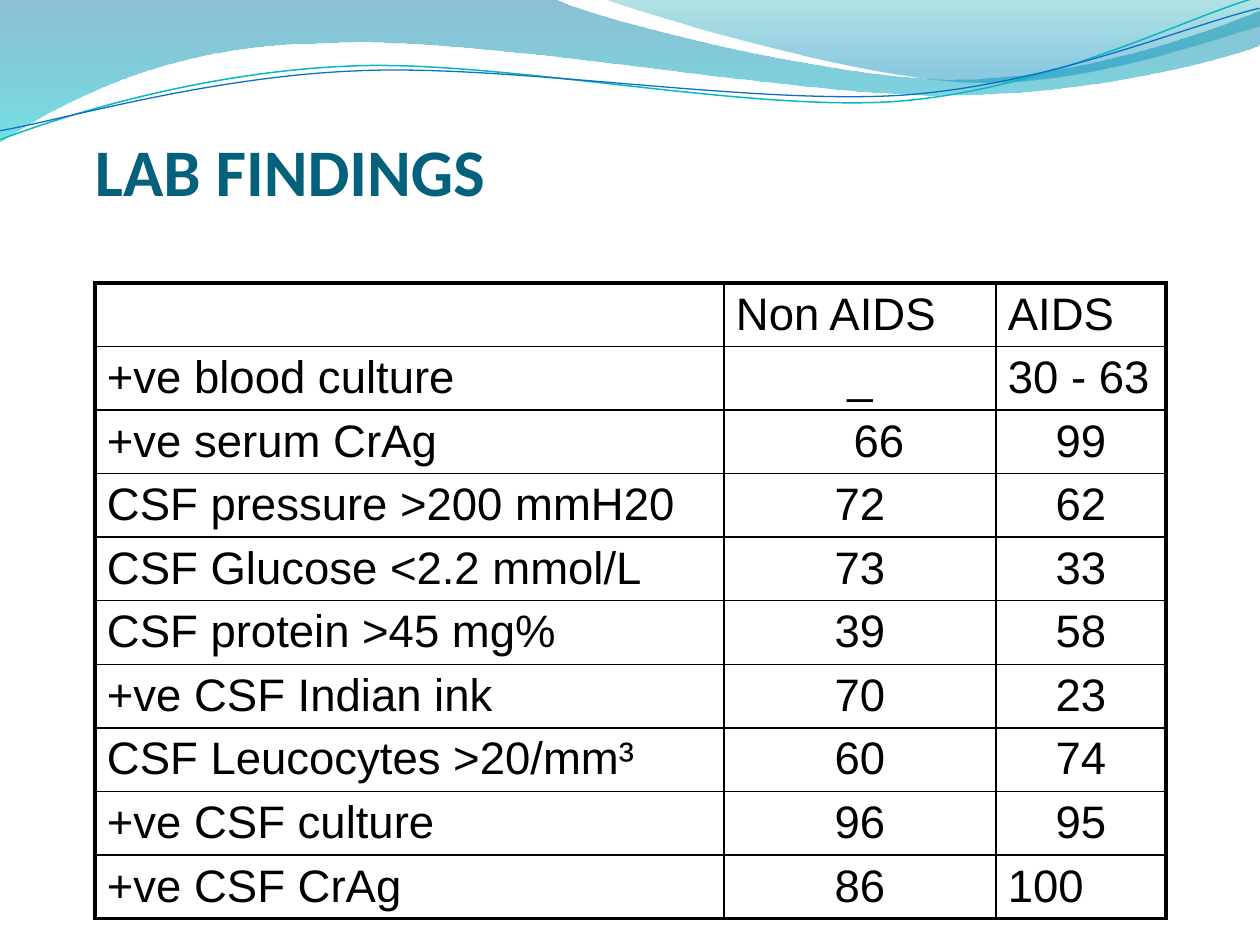
from math import cos, radians, sin

from lxml.etree import SubElement
from pptx import Presentation
from pptx.dml.color import RGBColor
from pptx.enum.text import MSO_ANCHOR, PP_ALIGN
from pptx.oxml.ns import qn
from pptx.util import Pt

PX = 7257  # EMU per pixel, 126 pixels to the inch

BLACK = RGBColor(0x00, 0x00, 0x00)
TITLE_TEAL = RGBColor(0x04, 0x61, 0x7B)
BLUE = RGBColor(0x00, 0x74, 0xA1)
CYAN = RGBColor(0x00, 0xC6, 0xCF)
GREEN = RGBColor(0x00, 0xA1, 0xA9)
SKY = RGBColor(0x00, 0x8B, 0xBF)
LINE_TEAL = RGBColor(0x0A, 0xB8, 0xBF)
LINE_BLUE = RGBColor(0x0F, 0x6F, 0xC6)

# Outlines: one point is a straight step, three points are a Bezier curve.
LONG_WAVE = [
    [(0, -1)], [(554, -1)],
    [(600, 21), (837, 79), (955, 79)], [(1075, 79), (1207, 33), (1260, 11)],
    [(1261, 45)],
    [(1239, 55), (1096, 96), (940, 95)], [(784, 95), (481, 35), (324, 43)],
    [(163, 44), (58, 105), (-1, 142)], [(0, -1)],
]
RIGHT_WAVE = [
    [(604, -1)],
    [(641, 14), (859, 78), (969, 82)], [(1079, 87), (1211, 40), (1260, 26)],
    [(1260, 0)], [(604, -1)],
]
TEAL_LINE = [
    [(0, 140)],
    [(60, 117), (199, 72), (349, 66)], [(498, 59), (747, 112), (898, 101)],
    [(1050, 89), (1182, 19), (1257, -3)],
]
BLUE_LINE = [
    [(0, 131)],
    [(59, 121), (207, 77), (357, 71)], [(508, 64), (752, 105), (903, 95)],
    [(1053, 84), (1185, 26), (1260, 8)],
]
LINE_TILT = -2.7
LINE_CENTER = (629, 73)

COLUMN_WIDTHS = (629, 272, 170)
ROW_HEIGHT = 56
TABLE_HEIGHT = 672
CELL_MARGIN = 12
VALUE_SHIFT = 38
FINDINGS = [
    ("", "Non AIDS", "AIDS"),
    ("+ve blood culture", "_", "30 - 63"),
    ("+ve serum CrAg", "66", "99"),
    ("CSF pressure >200 mmH20", "72", "62"),
    ("CSF Glucose <2.2 mmol/L", "73", "33"),
    ("CSF protein >45 mg%", "39", "58"),
    ("+ve CSF Indian ink", "70", "23"),
    ("CSF Leucocytes >20/mm³", "60", "74"),
    ("+ve CSF culture", "96", "95"),
    ("+ve CSF CrAg", "86", "100"),
]
LEFT_ALIGNED_VALUES = {"Non AIDS", "AIDS", "30 - 63", "100"}


def px(n):
    return n * PX


def turn(point, degrees):
    """Turn a point clockwise about the centre of the lines."""
    cx, cy = LINE_CENTER
    dx, dy = point[0] - cx, point[1] - cy
    a = radians(degrees)
    return cx + dx * cos(a) - dy * sin(a), cy + dx * sin(a) + dy * cos(a)


def add_outline(slide, steps):
    """Build a freeform, then join each three-point step into one Bezier curve."""
    points = [point for step in steps for point in step]
    builder = slide.shapes.build_freeform(*points[0], scale=PX)
    builder.add_line_segments(points[1:], close=steps[0] == steps[-1])
    s = builder.convert_to_shape()
    s.shadow.inherit = False
    segments = iter(s.element.xpath(".//a:path/a:lnTo"))
    for step in steps[1:]:
        parts = [next(segments) for _ in step]
        if len(parts) == 3:
            curve = parts[0].makeelement(qn("a:cubicBezTo"))
            parts[0].addprevious(curve)
            for part in parts:
                curve.append(part[0])
                part.getparent().remove(part)
    return s


def add_wave(slide, steps, stops):
    """Fill an outline from top to bottom; a stop is position, colour, opacity in %."""
    s = add_outline(slide, steps)
    s.line.fill.background()
    s.fill.gradient()
    s.fill.gradient_angle = 270
    for stop, (position, color, _) in zip(s.fill.gradient_stops, stops):
        stop.position = position
        stop.color.rgb = color
    for clr, (_, _, opacity) in zip(s.element.xpath(".//a:gs/a:srgbClr"), stops):
        SubElement(clr, qn("a:alpha"), val=str(opacity * 1000))


def add_tilted_line(slide, steps, color, width):
    level = [[turn(point, -LINE_TILT) for point in step] for step in steps]
    s = add_outline(slide, level)
    s.rotation = LINE_TILT
    s.fill.background()
    s.line.color.rgb = color
    s.line.width = Pt(width)


def style_run(r, font, size, color, bold=False):
    r.font.name = font
    r.font.size = Pt(size)
    r.font.color.rgb = color
    r.font.bold = bold


def add_title(slide, text):
    tf = slide.shapes.add_textbox(px(95), px(53), px(1071), px(157)).text_frame
    tf.word_wrap = True
    tf.vertical_anchor = MSO_ANCHOR.BOTTOM
    tf.margin_left = tf.margin_right = tf.margin_bottom = 0
    tf.text = text
    style_run(tf.paragraphs[0].runs[0], "Calibri", 38, TITLE_TEAL, True)


def set_borders(cell, widths):
    """Widths are points in the order left, right, top, bottom."""
    tcPr = cell._tc.get_or_add_tcPr()
    for side, width in zip("LRTB", widths):
        ln = SubElement(tcPr, qn(f"a:ln{side}"), w=str(Pt(width)))
        fill = SubElement(ln, qn("a:solidFill"))
        SubElement(fill, qn("a:srgbClr"), val=str(BLACK))


def fill_cell(cell, text, centred):
    cell.fill.background()
    cell.margin_left = cell.margin_right = px(CELL_MARGIN)
    cell.margin_top, cell.margin_bottom = px(6), px(3)
    cell.text = text
    p = cell.text_frame.paragraphs[0]
    p.alignment = PP_ALIGN.CENTER if centred else PP_ALIGN.LEFT
    p.font.size = Pt(26)
    for r in p.runs:
        style_run(r, "Arial", 26, BLACK)


def add_findings_table(slide):
    n_rows, n_cols = len(FINDINGS), len(COLUMN_WIDTHS)
    frame = slide.shapes.add_table(n_rows, n_cols, px(95), px(283),
                                   px(sum(COLUMN_WIDTHS)), px(TABLE_HEIGHT))
    table = frame.table
    table.first_row = table.horz_banding = False
    for column, width in zip(table.columns, COLUMN_WIDTHS):
        column.width = px(width)
    for i, values in enumerate(FINDINGS):
        table.rows[i].height = px(ROW_HEIGHT)
        for j, text in enumerate(values):
            cell = table.cell(i, j)
            outer = (j == 0, j == n_cols - 1, i == 0, i == n_rows - 1)
            set_borders(cell, [2.25 if edge else 1 for edge in outer])
            fill_cell(cell, text, j > 0 and text not in LEFT_ALIGNED_VALUES)
    table.cell(2, 1).margin_left = px(CELL_MARGIN + VALUE_SHIFT)
    frame.height = px(TABLE_HEIGHT)


def main():
    prs = Presentation()
    prs.slide_width, prs.slide_height = px(1260), px(945)
    slide = prs.slides.add_slide(prs.slide_layouts[6])
    add_wave(slide, LONG_WAVE, [(0, BLUE, 45), (1, CYAN, 55)])
    add_wave(slide, RIGHT_WAVE, [(0, GREEN, 30), (0.8, SKY, 45)])
    add_tilted_line(slide, TEAL_LINE, LINE_TEAL, 0.85)
    add_tilted_line(slide, BLUE_LINE, LINE_BLUE, 0.75)
    add_title(slide, "LAB FINDINGS")
    add_findings_table(slide)
    prs.save("out.pptx")


if __name__ == "__main__":
    main()
